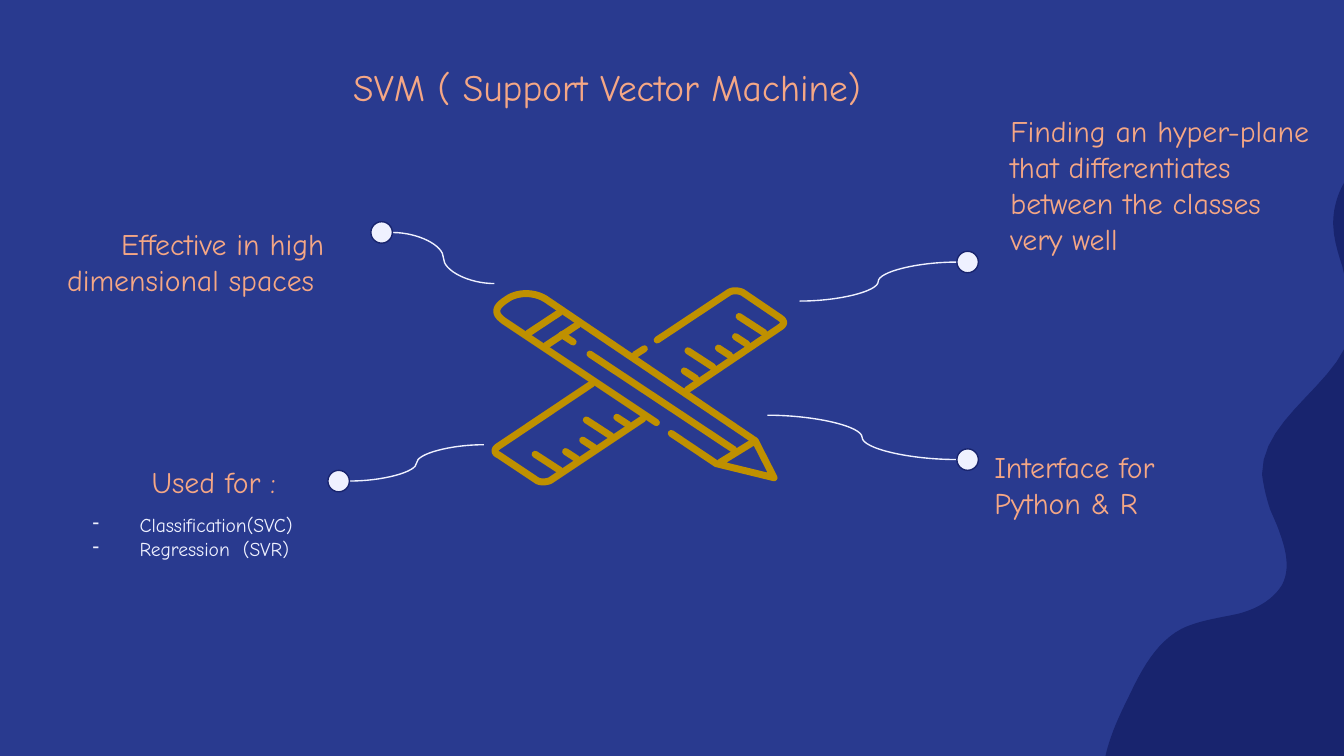
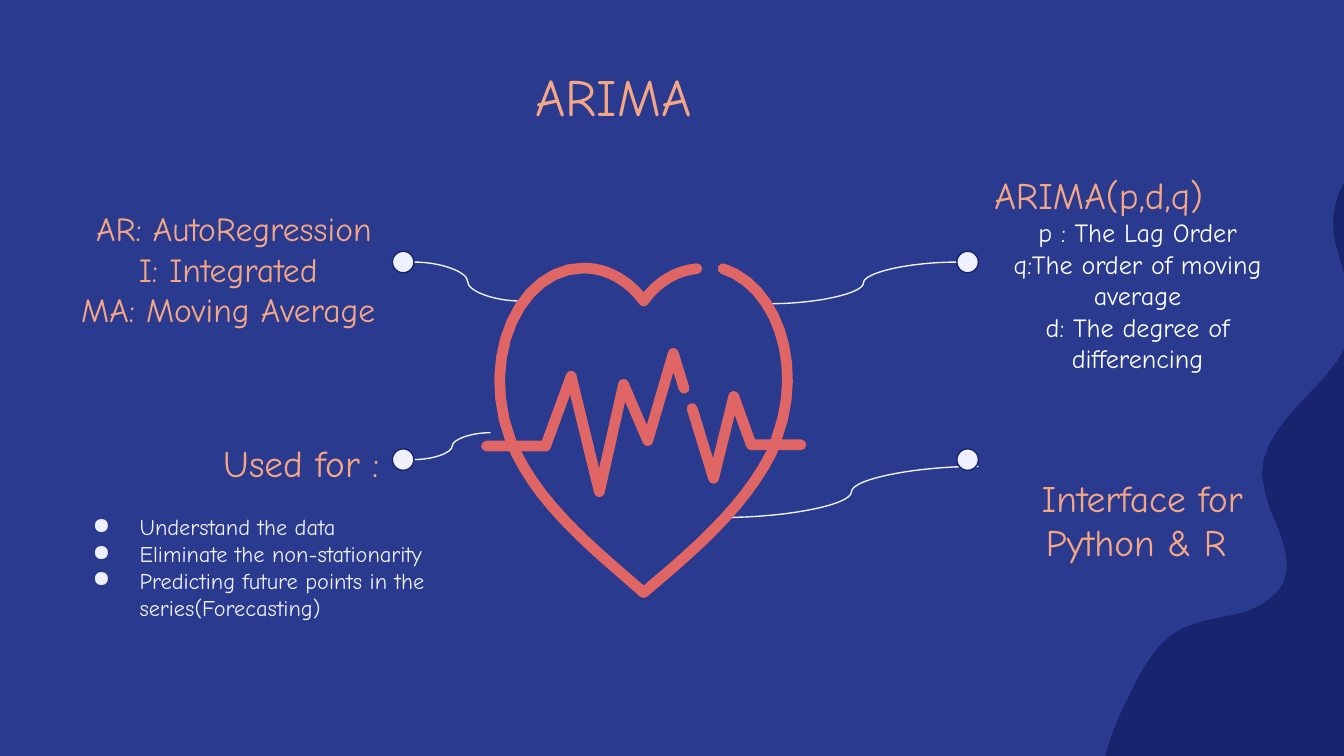
from lxml import etree
from pptx import Presentation
from pptx.dml.color import RGBColor
from pptx.enum.shapes import MSO_CONNECTOR, MSO_SHAPE
from pptx.enum.text import MSO_ANCHOR, PP_ALIGN
from pptx.oxml.ns import qn
from pptx.util import Inches, Pt

NAVY = RGBColor(0x29, 0x3A, 0x8F)
DEEP_NAVY = RGBColor(0x18, 0x24, 0x6E)
PEACH = RGBColor(0xF5, 0xA7, 0x85)
PALE = RGBColor(0xEF, 0xF1, 0xFF)
WHITE = RGBColor(0xFF, 0xFF, 0xFF)
GOLD = RGBColor(0xBF, 0x90, 0x00)
CORAL = RGBColor(0xE0, 0x66, 0x66)

LEFT, CENTER, RIGHT = PP_ALIGN.LEFT, PP_ALIGN.CENTER, PP_ALIGN.RIGHT
TOP, BOTTOM = MSO_ANCHOR.TOP, MSO_ANCHOR.BOTTOM
FONT = "Comic Neue"

# All places and lengths are counted in square grid cells, 100 to the slide's width.
GRID = Inches(0.1)
COLUMNS, ROWS = 100, 56.25
DOT = 1.6
TITLE_BOX = (0.8, 3.8, 89.7, 8.3)


def write_text(shape, text, size, color=PEACH, align=LEFT, anchor=BOTTOM, bullet=None):
    """Append the lines of text to the shape, one paragraph each."""
    frame = shape.text_frame
    frame.word_wrap = True
    frame.vertical_anchor = anchor
    frame.margin_left = frame.margin_right = GRID
    frame.margin_top = frame.margin_bottom = GRID
    for line in text.split("\n"):
        paragraph = frame.add_paragraph() if frame.text else frame.paragraphs[0]
        paragraph.alignment = align
        if bullet:
            properties = paragraph._p.get_or_add_pPr()
            properties.set("marL", str(int(5 * GRID)))
            properties.set("indent", str(int(-3.5 * GRID)))
            bullet_color = etree.SubElement(properties, qn("a:buClr"))
            etree.SubElement(bullet_color, qn("a:srgbClr"), val=str(color))
            etree.SubElement(properties, qn("a:buChar"), char=bullet)
        run = paragraph.add_run()
        run.text = line
        run.font.name, run.font.size = FONT, Pt(size)
        run.font.color.rgb = color


def add_outline(shapes, contours, color, stroke=None):
    """Draw contours as one freeform, filled or as round strokes, cut at the slide's right edge.

    Two numbers in a contour are a point; six are a Bezier curve from the last point.
    """
    builder = None
    for contour in contours:
        points = [contour[0]]
        for step in contour[1:]:
            if len(step) == 2:
                points.append(step)
                continue
            start, first, second, end = points[-1], step[:2], step[2:4], step[4:]
            for share in (index / 12 for index in range(1, 13)):
                rest = 1 - share
                points.append(tuple(
                    a * rest**3 + 3 * b * rest**2 * share + 3 * c * rest * share**2 + d * share**3
                    for a, b, c, d in zip(start, first, second, end)))
        points = [(min(x, COLUMNS) * 1000, y * 1000) for x, y in points]
        if builder is None:
            builder = shapes.build_freeform(*points[0], scale=GRID / 1000)
        else:
            builder.move_to(*points[0])
        builder.add_line_segments(points[1:], close=stroke is None)
    shape = builder.convert_to_shape()
    shape.shadow.inherit = False
    if stroke is None:
        shape.fill.solid()
        shape.fill.fore_color.rgb = color
        shape.line.fill.background()
    else:
        shape.fill.background()
        shape.line.color.rgb = color
        shape.line.width = Pt(stroke)
        line = shape.line._get_or_add_ln()
        line.set("cap", "rnd")
        etree.SubElement(line, qn("a:round"))
    return shape


blob = [[
    (100, 13.6), (99.5, 14.5, 99.15, 15.6, 99.2, 16.8),
    (99.3, 19.3, 100.9, 21.5, 100.7, 23.9), (100.2, 28.4, 93.9, 30.8, 93.9, 35.3),
    (94, 36.1, 94.2, 37, 94.5, 37.9), (94.7, 38.4, 95, 39, 95.2, 39.6),
    (95.7, 41, 96, 42.3, 95.4, 43.5), (94.7, 44.7, 93.3, 45.4, 92, 45.7),
    (90.6, 46, 89.1, 46.2, 87.9, 46.8), (86, 47.8, 84.9, 49.9, 84, 51.8),
    (83.3, 53.2, 82.6, 54.7, 82.25, ROWS), (COLUMNS, ROWS),
]]

pencil_and_ruler = [
    # Pencil: rubber end and edges, tip, lead line, two bands, stub
    [(56.2, 32.8), (40.6, 22.25), (40.2, 22, 39.7, 21.85, 39.15, 21.85),
     (38.6, 21.85, 38.1, 22, 37.75, 22.25), (36.7, 22.9, 36.7, 23.4, 37.75, 24.05),
     (48.85, 31.45)],
    [(49.95, 32.25), (53.3, 34.5), (57.6, 35.55), (56.2, 32.8), (53.6, 34.4)],
    [(43.9, 26.35), (54.6, 33.45)],
    [(39.3, 24.8), (41.65, 23.25)],
    [(40.65, 25.7), (43, 24.15)],
    [(41.8, 24.9), (42.65, 25.45)],
    # Ruler: lower end, upper end, stub
    [(44.05, 28.55), (37.1, 33.2), (36.75, 33.4, 36.75, 33.7, 37.1, 33.85),
     (39.95, 35.75), (40.2, 35.9, 40.6, 35.9, 40.95, 35.75), (47.85, 31.15)],
    [(48.9, 25.3), (54.25, 21.75), (54.5, 21.6, 54.9, 21.6, 55.25, 21.75),
     (58.05, 23.65), (58.4, 23.9, 58.4, 24.1, 58.05, 24.35), (51.15, 29)],
    [(47.95, 25.95), (47.25, 26.4)],
]
SHORT, LONG = (0.85, 0.55), (1.85, 1.2)
for x, y, ticks in (
    (46.75, 31.6, (SHORT, LONG, SHORT, SHORT, LONG)),
    (56.85, 24.75, (LONG, SHORT, SHORT, LONG, SHORT)),
):
    for index, (width, height) in enumerate(ticks):
        edge_x, edge_y = x - 1.27 * index, y + 0.85 * index
        pencil_and_ruler.append([(edge_x, edge_y), (edge_x - width, edge_y - height)])

heartbeat = [
    [(51.85, 20), (50.2, 20.15, 48.8, 21.1, 47.9, 22.4),
     (46.8, 20.9, 45.2, 19.95, 43.4, 19.95), (38.8, 19.95, 35.6, 26.4, 38, 32.8),
     (38.4, 33.7), (40.5, 38, 44.6, 41.2, 47.9, 44.1),
     (51.3, 41.2, 55.3, 37.9, 57.4, 33.7), (57.8, 32.6),
     (59.9, 26.9, 57.6, 21.2, 53.8, 20)],
    [(36.2, 33.2), (40.6, 33.2), (42.5, 28), (44.6, 36.6), (46.4, 28.6), (48.2, 32.8),
     (50.1, 26.3), (50.9, 28.9)],
    [(51.5, 30.4), (53.1, 35.6), (54.6, 29.5), (55.9, 33.1), (59.6, 33.1)],
]

dash_list = dict(size=10.5, color=PALE, anchor=TOP, bullet="-")
dot_list = dict(size=12, color=PALE, anchor=TOP, bullet="●")

slides = [
    dict(
        title="SVM ( Support Vector Machine) ", title_size=20,
        icon=(pencil_and_ruler, GOLD, 3.75),
        texts=[
            ((0, 13.7, 25.1, 9.4),
             [("Effective in high dimensional spaces ", dict(size=16, align=RIGHT))]),
            ((4.4, 31.9, 17.1, 6.3), [("Used for :", dict(size=16, align=RIGHT))]),
            ((4.4, 37.2, 29.8, 9.6), [("Classification(SVC)\nRegression  (SVR)", dash_list)]),
            ((73, 33.4, 17.1, 6.3), [("Interface for Python & R", dict(size=16))]),
            ((74.2, 7.4, 24.8, 8.4),
             [("Finding an hyper-plane that differentiates between the classes very well",
               dict(size=16, anchor=TOP))]),
        ],
        dots=[(27.6, 16.5), (24.4, 35), (71.2, 18.7), (71.2, 33.4)],
        curves=[(29.2, 17.3, 36.8, 21.1), (26, 35.8, 36, 33.1),
                (71.2, 19.5, 59.5, 22.4), (71.2, 34.2, 57.1, 30.9)],
    ),
    dict(
        title="ARIMA", title_size=28,
        icon=(heartbeat, CORAL, 5.75),
        texts=[
            ((0.8, 13.4, 33.2, 12.1),
             [("AR: AutoRegression\nI: Integrated \nMA: Moving Average ",
               dict(size=18, align=CENTER))]),
            ((12.1, 30.8, 17.1, 6.3), [("Used for :", dict(size=20, align=RIGHT))]),
            ((4.4, 37.2, 33.2, 15.2),
             [("Understand the data\nEliminate the non-stationarity\n"
               "Predicting future points in the series(Forecasting)", dot_list)]),
            ((73, 8.9, 23.3, 19.9),
             [("ARIMA(p,d,q)", dict(size=20)),
              ("p : The Lag Order\nq:The order of moving average\n"
               "d: The degree of differencing", dict(size=14, color=WHITE, align=CENTER))]),
            ((73, 33.4, 24, 9.6), [("Interface for Python & R ", dict(size=20, align=CENTER))]),
        ],
        dots=[(29.2, 18.7), (29.2, 33.4), (71.2, 18.7), (71.2, 33.4)],
        curves=[(30.8, 19.5, 38.8, 22.4), (30.8, 34.2, 36.5, 32.2),
                (71.2, 19.5, 57.3, 22.6), (72.8, 34.7, 53.9, 38.5)],
    ),
]

presentation = Presentation()
presentation.slide_width = int(COLUMNS * GRID)
presentation.slide_height = int(ROWS * GRID)
layout = presentation.slide_layouts[5]
layout.background.fill.solid()
layout.background.fill.fore_color.rgb = NAVY

for number, content in enumerate(slides):
    slide = presentation.slides.add_slide(layout)
    shapes = slide.shapes
    if number == 0:
        # The band belongs to the layout, so every slide inherits it.
        band = add_outline(shapes, blob, DEEP_NAVY)
        layout.shapes.element.append(band.element)

    title = shapes.title
    title.left, title.top, title.width, title.height = (int(v * GRID) for v in TITLE_BOX)
    write_text(title, content["title"], content["title_size"], align=CENTER, anchor=TOP)

    for box, parts in content["texts"]:
        text_box = shapes.add_textbox(*(int(v * GRID) for v in box))
        for text, text_format in parts:
            write_text(text_box, text, **text_format)

    for ends in content["curves"]:
        curve = shapes.add_connector(MSO_CONNECTOR.CURVE, *(int(v * GRID) for v in ends))
        curve.line.color.rgb = PALE
        curve.line.width = Pt(0.75)
        etree.SubElement(curve.element.spPr, qn("a:effectLst"))

    for x, y in content["dots"]:
        dot = shapes.add_shape(MSO_SHAPE.OVAL, *(int(v * GRID) for v in (x, y, DOT, DOT)))
        dot.shadow.inherit = False
        dot.fill.solid()
        dot.fill.fore_color.rgb = PALE
        dot.line.color.rgb = DEEP_NAVY
        dot.line.width = Pt(0.75)

    icon, icon_color, icon_stroke = content["icon"]
    add_outline(shapes, icon, icon_color, icon_stroke)

presentation.save("out.pptx")
